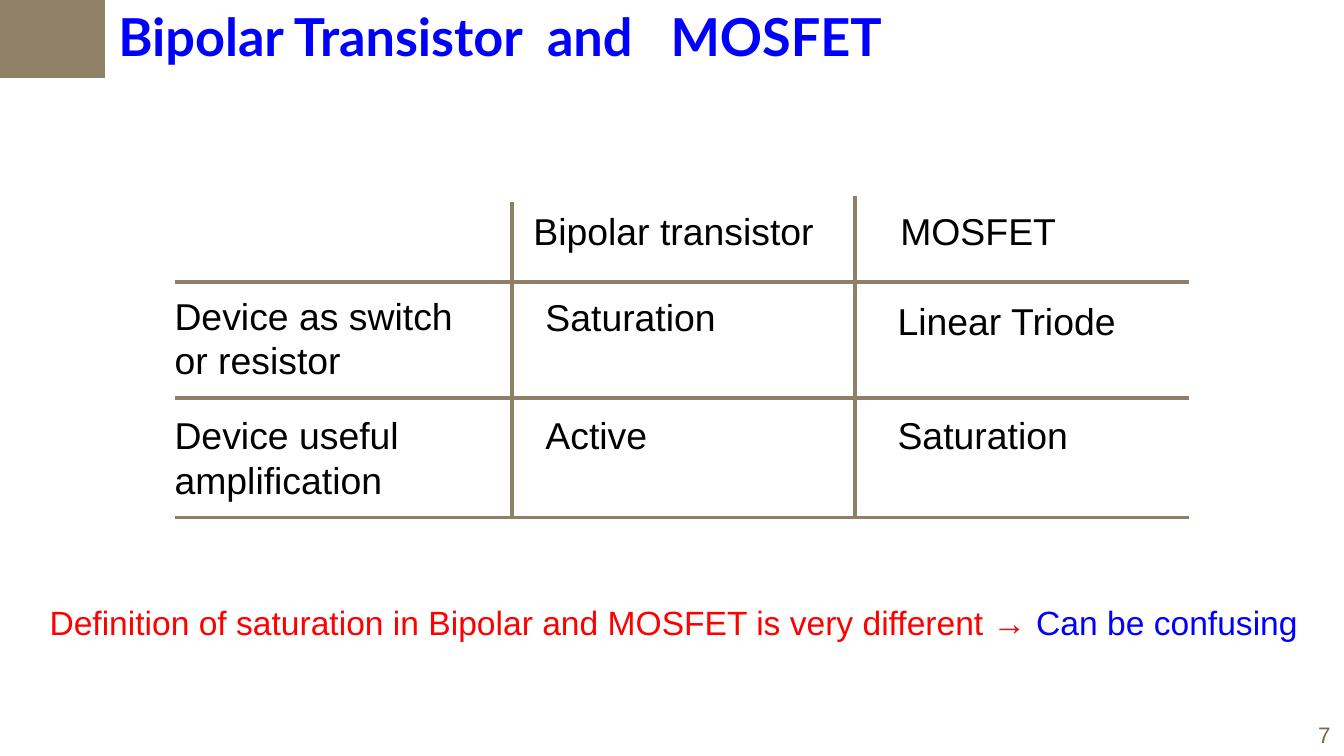
import pptx
import pptx.dml.color
import pptx.enum.shapes
import pptx.enum.text
import pptx.oxml.ns
import pptx.util
from lxml import etree

Inches = pptx.util.Inches
Pt = pptx.util.Pt

TITLE = "Bipolar Transistor\tand\tMOSFET"
TITLE_TABS = [3.19, 4.11]
HEADERS = [("Bipolar transistor", 3.87, 2.51), ("MOSFET", 6.6, 2.25)]
HEADER_TOP = 1.5
COLUMNS = [(1.2, 2.38, 0.77), (3.96, 1.51, 0.44), (6.58, 2.09, 0.44)]
ROWS = [
    [("Device as switch or resistor", 2.13), ("Saturation", 2.14), ("Linear Triode", 2.17)],
    [("Device useful amplification", 3.02), ("Active", 3.02), ("Saturation", 3.02)],
]
REMARK = [
    ("Definition of saturation in Bipolar and MOSFET is very different → ", "FF0000"),
    ("Can be confusing", "0000FF"),
]
GRID_LEFT, GRID_RIGHT, GRID_BOTTOM = 1.3, 8.85, 3.85
ROW_RULES = [2.1, 2.96, GRID_BOTTOM]
COLUMN_RULES = [(3.81, 1.5), (6.36, 1.46)]


def paint(target, color):
    if hasattr(target, "solid"):
        target.solid()
        target = target.fore_color
    target.rgb = pptx.dml.color.RGBColor.from_string(color)


def place(shape, left, top, width, height):
    shape.left, shape.top = Inches(left), Inches(top)
    shape.width, shape.height = Inches(width), Inches(height)


def write(box, *spans, size=20, font="Arial", bold=False, wrap=True):
    frame = box.text_frame
    frame.word_wrap = wrap
    frame.auto_size = pptx.enum.text.MSO_AUTO_SIZE.NONE
    frame.vertical_anchor = pptx.enum.text.MSO_ANCHOR.TOP
    para = frame.paragraphs[0]
    para.alignment = pptx.enum.text.PP_ALIGN.LEFT
    for text, color in spans:
        span = para.add_run()
        span.text = text
        span.font.size = Pt(size)
        span.font.name = font
        span.font.bold = bold
        paint(span.font.color, color)


def add_text(page, text, left, top, width, height, color="000000", **style):
    box = page.shapes.add_textbox(0, 0, 0, 0)
    place(box, left, top, width, height)
    spans = [(text, color)] if isinstance(text, str) else text
    write(box, *spans, **style)


def add_rule(page, start, end, weight):
    ends = [Inches(value) for value in (*start, *end)]
    rule = page.shapes.add_connector(pptx.enum.shapes.MSO_CONNECTOR.STRAIGHT, *ends)
    paint(rule.line.fill, "8E7F66")
    rule.line.width = Pt(weight)
    etree.SubElement(rule._element.spPr, pptx.oxml.ns.qn("a:effectLst"))


def add_tabs(para, stops):
    tabs = etree.SubElement(para._p.get_or_add_pPr(), pptx.oxml.ns.qn("a:tabLst"))
    for stop in stops:
        etree.SubElement(tabs, pptx.oxml.ns.qn("a:tab"), pos=str(Inches(stop)), algn="l")


def main():
    deck = pptx.Presentation()
    deck.slide_width = Inches(10)
    deck.slide_height = deck.slide_width * 9 // 16
    page = deck.slides.add_slide(deck.slide_layouts[5])

    block = page.shapes.add_shape(pptx.enum.shapes.MSO_SHAPE.RECTANGLE, 0, 0, 0, 0)
    place(block, 0, -0.02, 0.78, 0.6)
    block.shadow.inherit = False
    paint(block.fill, "908269")
    block.line.fill.background()

    title = page.shapes.title
    place(title, 0.78, -0.02, 6.42, 0.57)
    add_tabs(title.text_frame.paragraphs[0], TITLE_TABS)
    write(title, (TITLE, "0000FF"), size=28, font="Lato", bold=True, wrap=False)

    for top in ROW_RULES:
        add_rule(page, (GRID_LEFT, top), (GRID_RIGHT, top), 2)
    for left, top in COLUMN_RULES:
        add_rule(page, (left, top), (left, GRID_BOTTOM), 2.25)

    for text, left, width in HEADERS:
        add_text(page, text, left, HEADER_TOP, width, 0.44)
    for row in ROWS:
        for (text, top), (left, width, height) in zip(row, COLUMNS):
            add_text(page, text, left, top, width, height)

    add_text(page, REMARK, 0.27, 4.43, 9.58, 0.4, size=18, wrap=False)
    add_text(page, "7", 9.71, 5.32, 0.29, 0.3, color="786745", size=12, wrap=False)
    deck.save("out.pptx")


if __name__ == "__main__":
    main()
